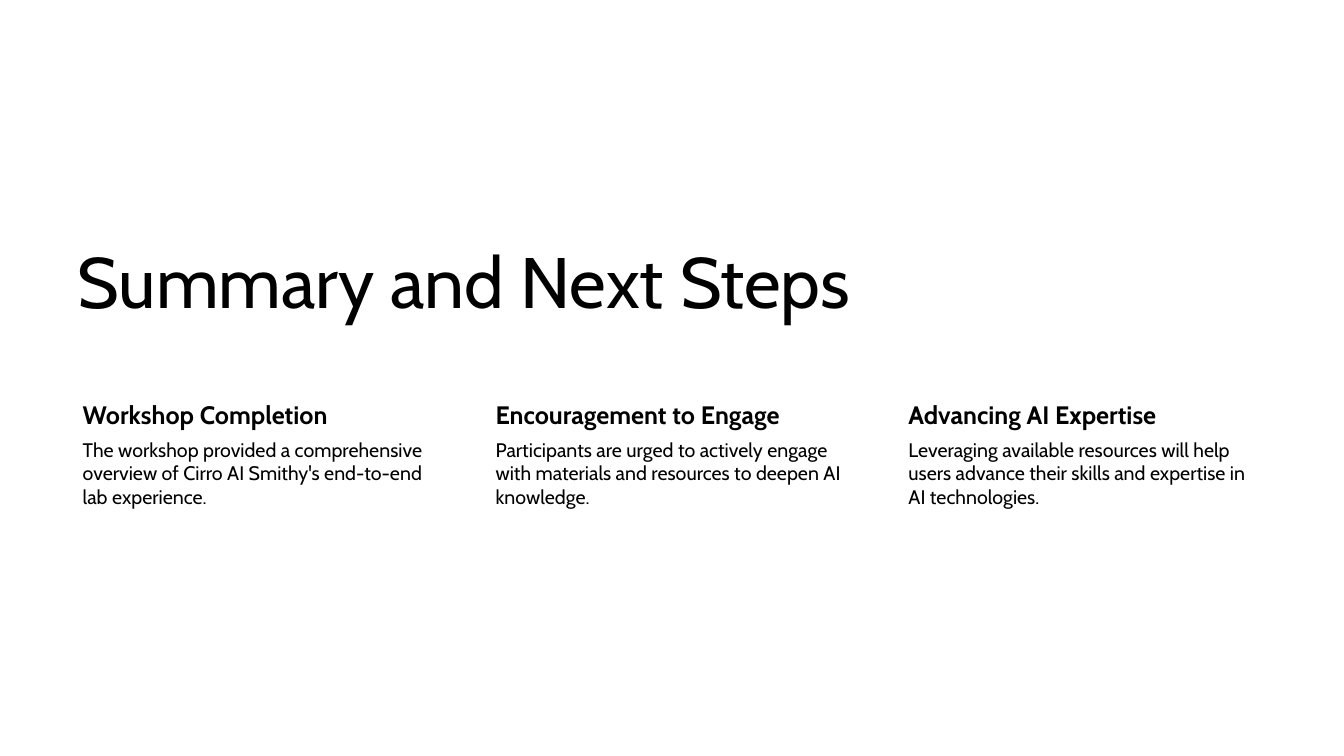
from pptx import Presentation
from pptx.dml.color import RGBColor
from pptx.enum.text import MSO_ANCHOR
from pptx.util import Inches, Pt

TOP, BOTTOM = MSO_ANCHOR.TOP, MSO_ANCHOR.BOTTOM


def rgb(value):
    return RGBColor.from_string(value)


class SlideBuilder:
    font = "Cabin"
    ink = "000000"
    paper = "FFFFFF"

    def __init__(self, prs):
        self.s = prs.slides.add_slide(prs.slide_layouts[6])
        fill = self.s.background.fill
        fill.solid()
        fill.fore_color.rgb = rgb(self.paper)

    def text(self, text, x, y, w, h, size=14, bold=False, anchor=TOP,
             insets=(0.1, 0.05, 0.1, 0.05), line_spacing=1.0):
        sp = self.s.shapes.add_textbox(Inches(x), Inches(y), Inches(w), Inches(h))
        tf = sp.text_frame
        tf.word_wrap = True
        tf.vertical_anchor = anchor
        (tf.margin_left, tf.margin_top,
         tf.margin_right, tf.margin_bottom) = map(Inches, insets)
        p = tf.paragraphs[0]
        p.line_spacing = line_spacing
        r = p.add_run()
        r.text = text
        r.font.name = self.font
        r.font.size = Pt(size)
        r.font.bold = bold
        r.font.color.rgb = rgb(self.ink)

    def title(self, text):
        self.text(text, 0.67, 2.02, 8.03, 1.24, size=51, anchor=BOTTOM,
                  line_spacing=0.9)

    def column(self, x, heading, body):
        self.text(heading, x, 3.93, 3.72, 0.39, size=18, bold=True,
                  insets=(0.15, 0.03, 0.03, 0.03))
        self.text(body, x, 4.32, 3.72, 2.33, insets=(0.15, 0.02, 0.02, 0.02))


COLUMNS = [
    ("Workshop Completion",
     "The workshop provided a comprehensive overview of Cirro AI Smithy's "
     "end-to-end lab experience."),
    ("Encouragement to Engage",
     "Participants are urged to actively engage with materials and resources "
     "to deepen AI knowledge."),
    ("Advancing AI Expertise",
     "Leveraging available resources will help users advance their skills and "
     "expertise in AI technologies."),
]


def main():
    prs = Presentation()
    prs.slide_width, prs.slide_height = Inches(13.33), Inches(7.5)
    slide = SlideBuilder(prs)

    # Title
    slide.title("Summary and Next Steps")

    # Three evenly spaced columns
    for i, (heading, body) in enumerate(COLUMNS):
        slide.column(0.67 + i * 4.095, heading, body)

    prs.save("out.pptx")


if __name__ == "__main__":
    main()
